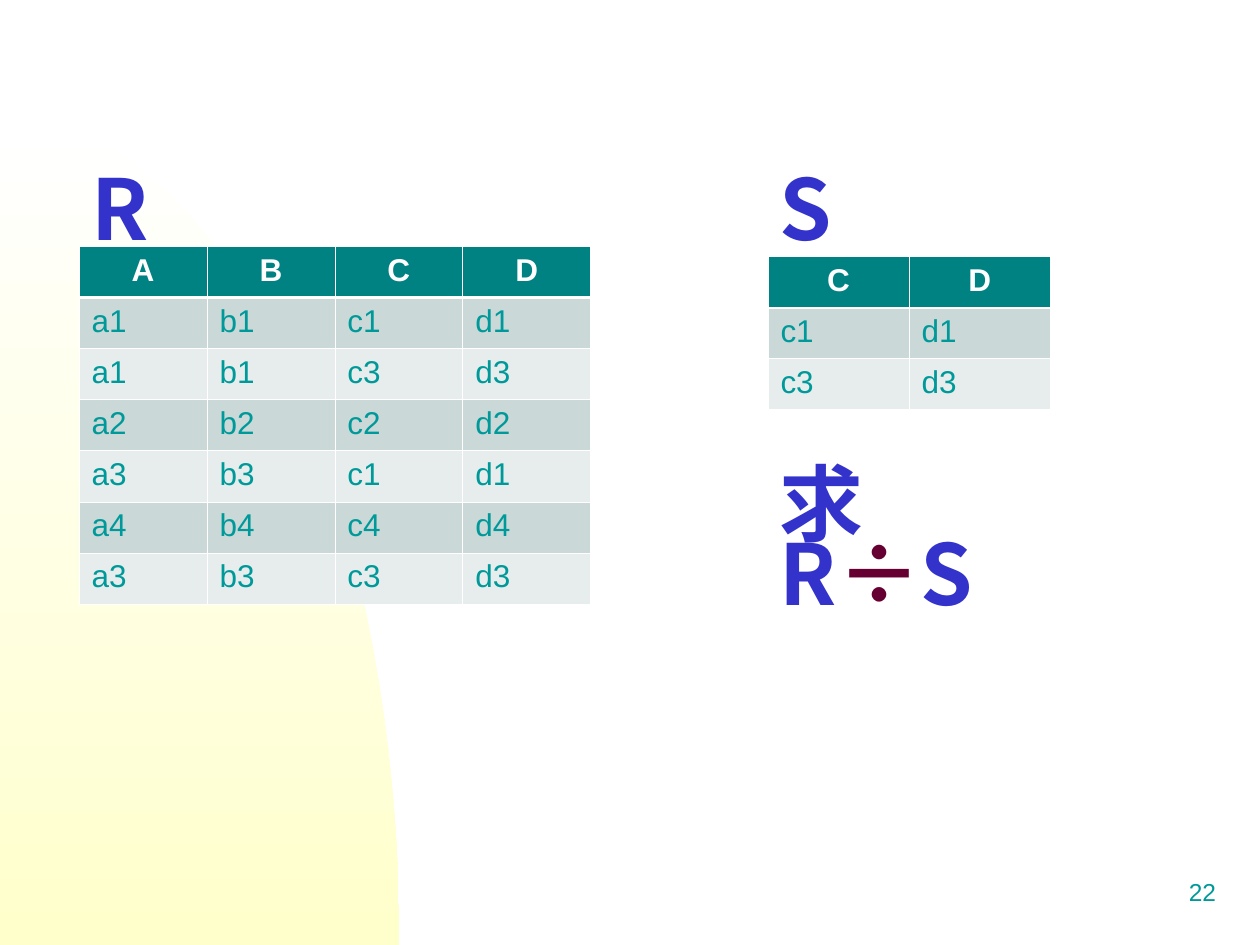
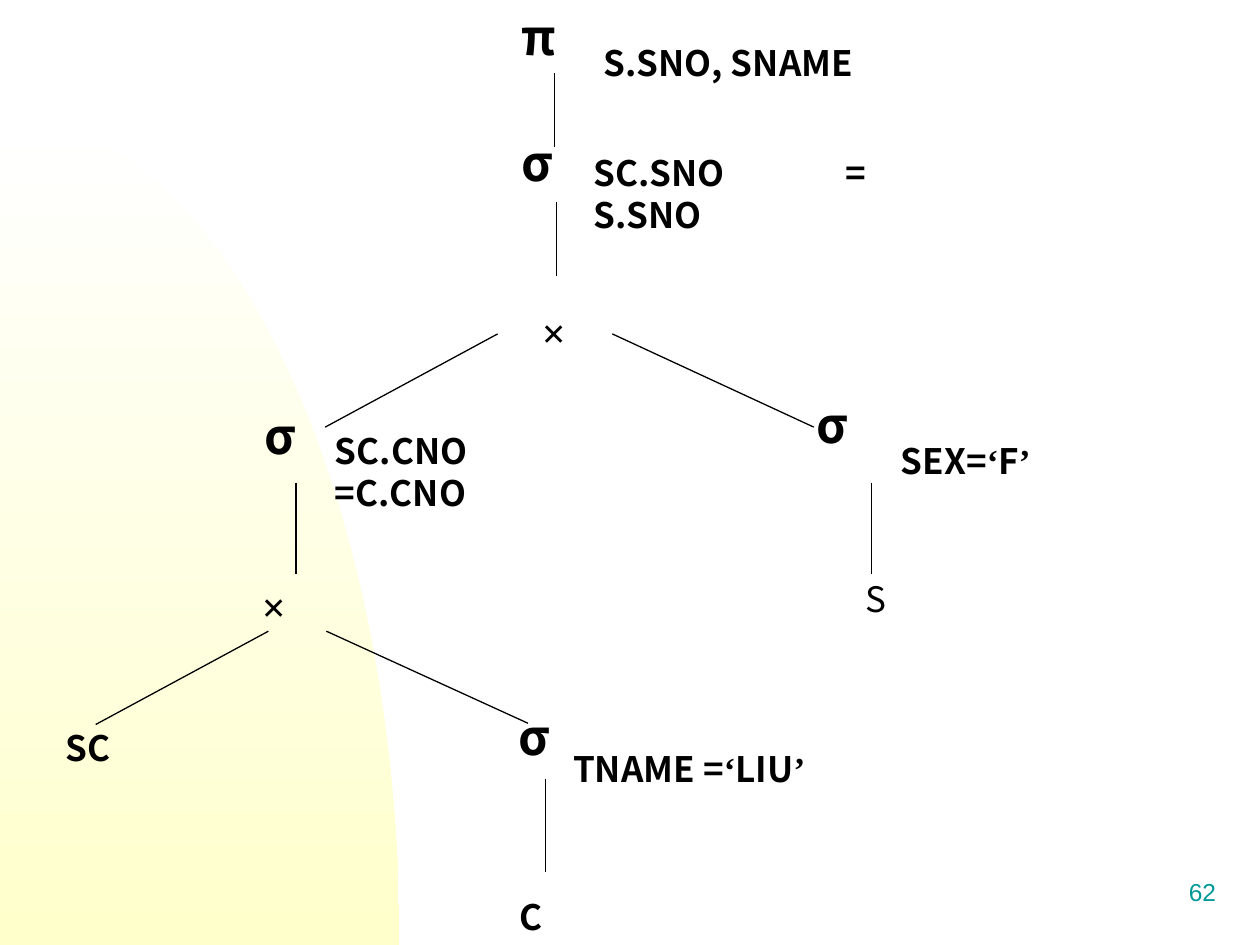
from math import cos, pi, sin

from lxml import etree
from pptx import Presentation
from pptx.dml.color import RGBColor
from pptx.enum.shapes import MSO_CONNECTOR
from pptx.enum.text import MSO_ANCHOR, MSO_AUTO_SIZE, PP_ALIGN
from pptx.oxml.ns import qn
from pptx.util import Pt

STRAIGHT = MSO_CONNECTOR.STRAIGHT
TOP, MIDDLE = MSO_ANCHOR.TOP, MSO_ANCHOR.MIDDLE
GROW, FIXED = MSO_AUTO_SIZE.SHAPE_TO_FIT_TEXT, MSO_AUTO_SIZE.NONE
LEFT, CENTER = PP_ALIGN.LEFT, PP_ALIGN.CENTER
RIGHT, JUSTIFY = PP_ALIGN.RIGHT, PP_ALIGN.JUSTIFY

WHITE = RGBColor(0xFF, 0xFF, 0xFF)
CREAM = RGBColor(0xFF, 0xFF, 0xCC)
TEAL = RGBColor(0x00, 0x99, 0x99)
HEADER_TEAL = RGBColor(0x00, 0x82, 0x82)
BANDS = (RGBColor(0xCB, 0xD8, 0xD8), RGBColor(0xE7, 0xED, 0xED))
BLUE = RGBColor(0x33, 0x33, 0xCC)
MAROON = RGBColor(0x66, 0x00, 0x33)
INK = RGBColor(0x01, 0x00, 0x00)

SANS, HAN, SERIF = "Arial", "Noto Sans CJK SC", "Times New Roman"

NUMBER = {"name": SANS, "size": Pt(14), "color": TEAL}
HEADER = {"name": SANS, "size": Pt(18), "bold": True, "color": WHITE}
CELL = {"name": SANS, "size": Pt(18), "bold": False, "color": TEAL}
HEADING = {"name": HAN, "size": Pt(48), "bold": True, "color": BLUE}
LABEL = {"name": HAN, "size": Pt(20), "bold": True, "color": INK}
PLAIN = {**LABEL, "bold": False}
QUOTE = {**LABEL, "name": SERIF}
OPERATOR = {**LABEL, "size": Pt(28)}
PRODUCT = {**QUOTE, "size": Pt(24)}

RELATION_R = ["A B C D", "a1 b1 c1 d1", "a1 b1 c3 d3", "a2 b2 c2 d2",
              "a3 b3 c1 d1", "a4 b4 c4 d4", "a3 b3 c3 d3"]
RELATION_S = ["C D", "c1 d1", "c3 d3"]

BRANCHES = [
    (316.8, 41.8, 316.8, 84.2), (318.2, 115.2, 318.2, 157.7),
    (284.4, 190.8, 185.8, 244.1), (349.9, 190.8, 465.1, 244.1),
    (169.2, 275.8, 169.2, 328.3), (498.2, 275.8, 498.2, 328.3),
    (153.4, 360.7, 54.7, 414), (186.5, 360.7, 301.7, 413.3),
    (311.8, 445, 311.8, 498.2),
]

OPERATORS = [
    ("π", OPERATOR, 284.4, 0, 6.3), ("σ", OPERATOR, 284.4, 72, 6.3),
    ("×", PRODUCT, 284.4, 171.4, 18), ("σ", OPERATOR, 137.5, 228.2, 6.3),
    ("σ", OPERATOR, 452.9, 221.8, 6.3), ("×", PRODUCT, 142.6, 328.3, 0),
    ("σ", OPERATOR, 289.4, 400.3, 0), ("S", PLAIN, 487.4, 326.2, 0),
    ("SC", LABEL, 30.2, 411.8, 0), ("C", LABEL, 280.8, 508.3, 9),
]

CONDITIONS = [
    ([("S.SNO, SNAME", LABEL)], 337.7, 20.2, 184.3, 30.2),
    ([("SC.SNO = S.SNO", LABEL)], 331.9, 82.8, 169.9, 45.4),
    ([("SC.CNO =C.CNO", LABEL)], 184.3, 241.9, 164.2, 39.6),
    ([("SEX=", LABEL), ("‘", QUOTE), ("F", LABEL), ("’", QUOTE)],
     507.6, 247.7, 105.8, 33.1),
    ([("TNAME =", LABEL), ("‘", QUOTE), ("LIU", LABEL), ("’", QUOTE)],
     320.4, 423.4, 149.8, 35.3),
]


class SlideBuilder:
    def __init__(self):
        self.deck = Presentation()
        self.deck.slide_width, self.deck.slide_height = Pt(720), Pt(540)
        self.page = None

    def start(self, number):
        self.page = self.deck.slides.add_slide(self.deck.slide_layouts[6])
        self.backdrop()
        self.text([(str(number), NUMBER)], 552.2, 491.8, 149.8, 36,
                  align=RIGHT, anchor=MIDDLE)

    def backdrop(self, width=228.2, height=473.8, steps=60):
        angles = [pi / 2 * step / steps for step in range(steps + 1)]
        arc = [(Pt(width * sin(angle)), Pt(540 - height * cos(angle)))
               for angle in angles]
        builder = self.page.shapes.build_freeform(*arc[0])
        builder.add_line_segments(arc[1:] + [(0, Pt(540))], close=True)
        shape = builder.convert_to_shape()
        shape.shadow.inherit = False
        shape.line.fill.background()
        shape.fill.gradient()
        shape.fill.gradient_angle = 270
        for stop, color in zip(shape.fill.gradient_stops, (WHITE, CREAM)):
            stop.color.rgb = color

    def add_spans(self, para, runs, align):
        para.alignment = align
        for content, formats in runs:
            span = para.add_run()
            span.text = content
            for key, value in formats.items():
                if key == "color":
                    span.font.color.rgb = value
                else:
                    setattr(span.font, key, value)
            latin = span.font._element.find(qn("a:latin"))
            latin.addnext(etree.Element(qn("a:ea"), typeface=formats["name"]))

    def text(self, runs, left, top, width, height, align=LEFT, anchor=TOP,
             indent=0, spacing=None, auto_size=FIXED):
        box = self.page.shapes.add_textbox(Pt(left), Pt(top), Pt(width), Pt(height))
        frame = box.text_frame
        settings = {"word_wrap": True, "auto_size": auto_size,
                    "vertical_anchor": anchor, "margin_left": Pt(7.2 + indent)}
        for key, value in settings.items():
            setattr(frame, key, value)
        para = frame.paragraphs[0]
        para.line_spacing = spacing
        self.add_spans(para, runs, align)
        return para

    def heading(self, runs, left, top, width):
        return self.text(runs, left, top, width, 47.5, spacing=0.7, auto_size=GROW)

    def line(self, x1, y1, x2, y2):
        branch = self.page.shapes.add_connector(STRAIGHT, Pt(x1), Pt(y1), Pt(x2), Pt(y2))
        branch.line.color.rgb = INK
        branch.line.width = Pt(0.75)
        etree.SubElement(branch._element.spPr, qn("a:effectLst"))

    def border(self, cell, side, width):
        properties = cell._tc.get_or_add_tcPr()
        edge = etree.Element(qn("a:" + side), w=str(Pt(width)))
        fill = etree.SubElement(edge, qn("a:solidFill"))
        etree.SubElement(fill, qn("a:srgbClr"), val=str(WHITE))
        properties.append(edge)

    def table(self, rows, left, top, column_width, row_height=29.2):
        grid = [row.split() for row in rows]
        count = len(grid[0])
        table = self.page.shapes.add_table(
            len(grid), count, Pt(left), Pt(top),
            Pt(column_width * count), Pt(row_height * len(grid))).table
        for column in table.columns:
            column.width = Pt(column_width)
        for index, values in enumerate(grid):
            table.rows[index].height = Pt(row_height)
            header = index == 0
            for position, value in enumerate(values):
                cell = table.cell(index, position)
                widths = {"lnL": 0.45, "lnR": 0.45,
                          "lnT": 1.47 if index == 1 else 0.45,
                          "lnB": 1.47 if header else 0.45}
                for side, width in widths.items():
                    self.border(cell, side, width)
                cell.fill.solid()
                cell.fill.fore_color.rgb = HEADER_TEAL if header else BANDS[(index - 1) % 2]
                self.add_spans(cell.text_frame.paragraphs[0],
                               [(value, HEADER if header else CELL)],
                               CENTER if header else LEFT)


def division_slide(builder):
    builder.start(22)
    builder.table(RELATION_R, 45.2, 140.8, 73.1)
    builder.table(RELATION_S, 438.8, 146.6, 80.7)
    for name, left in (("R", 45.4), ("S", 438.5)):
        builder.heading([(name, HEADING)], left, 101.5, 56.2)
    para = builder.heading([("求", HEADING)], 438.5, 270, 180)
    para.add_line_break()
    builder.add_spans(para, [("R", HEADING), ("÷", {**HEADING, "color": MAROON}),
                             ("S", HEADING)], LEFT)


def query_tree_slide(builder):
    builder.start(62)
    for branch in BRANCHES:
        builder.line(*branch)
    for symbol, formats, left, top, indent in OPERATORS:
        builder.text([(symbol, formats)], left, top, 82.1, 31.7,
                     align=JUSTIFY, indent=indent)
    for runs, *bounds in CONDITIONS:
        builder.text(runs, *bounds, align=JUSTIFY)


def main():
    builder = SlideBuilder()
    division_slide(builder)
    query_tree_slide(builder)
    builder.deck.save("out.pptx")


if __name__ == "__main__":
    main()
